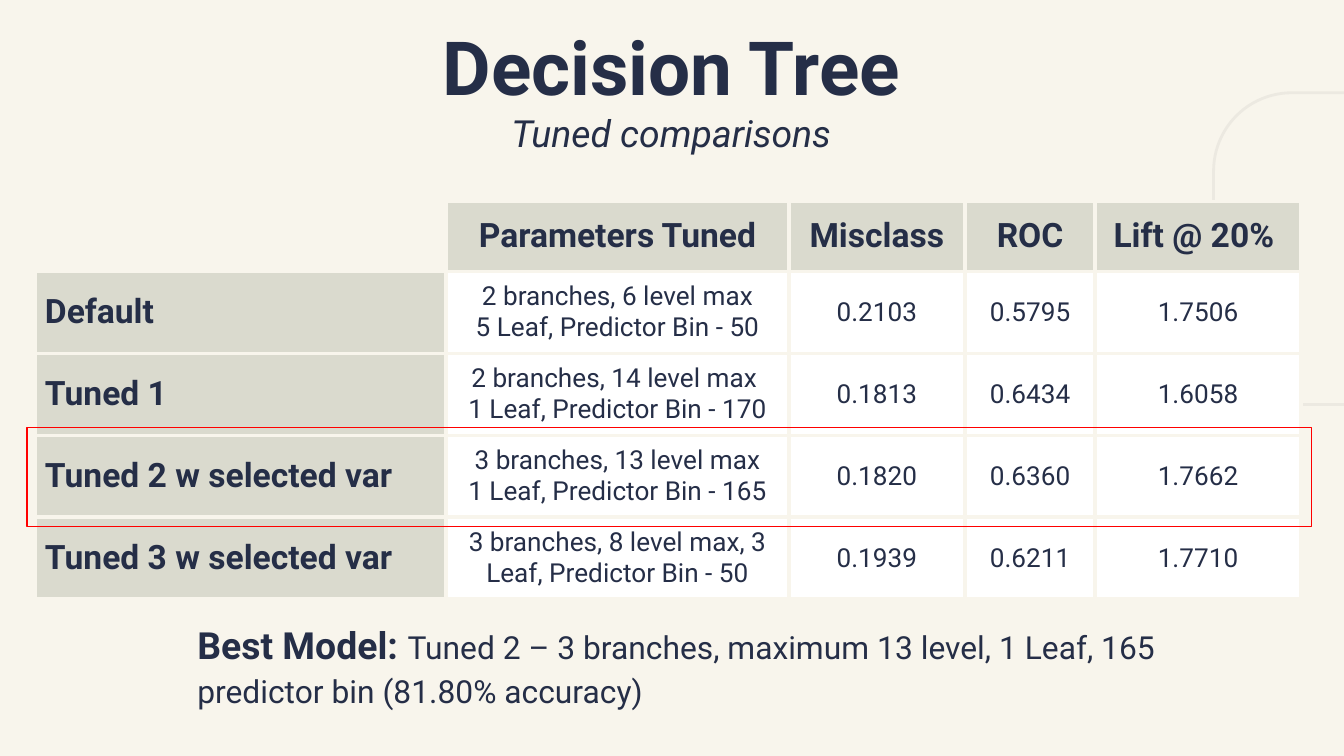
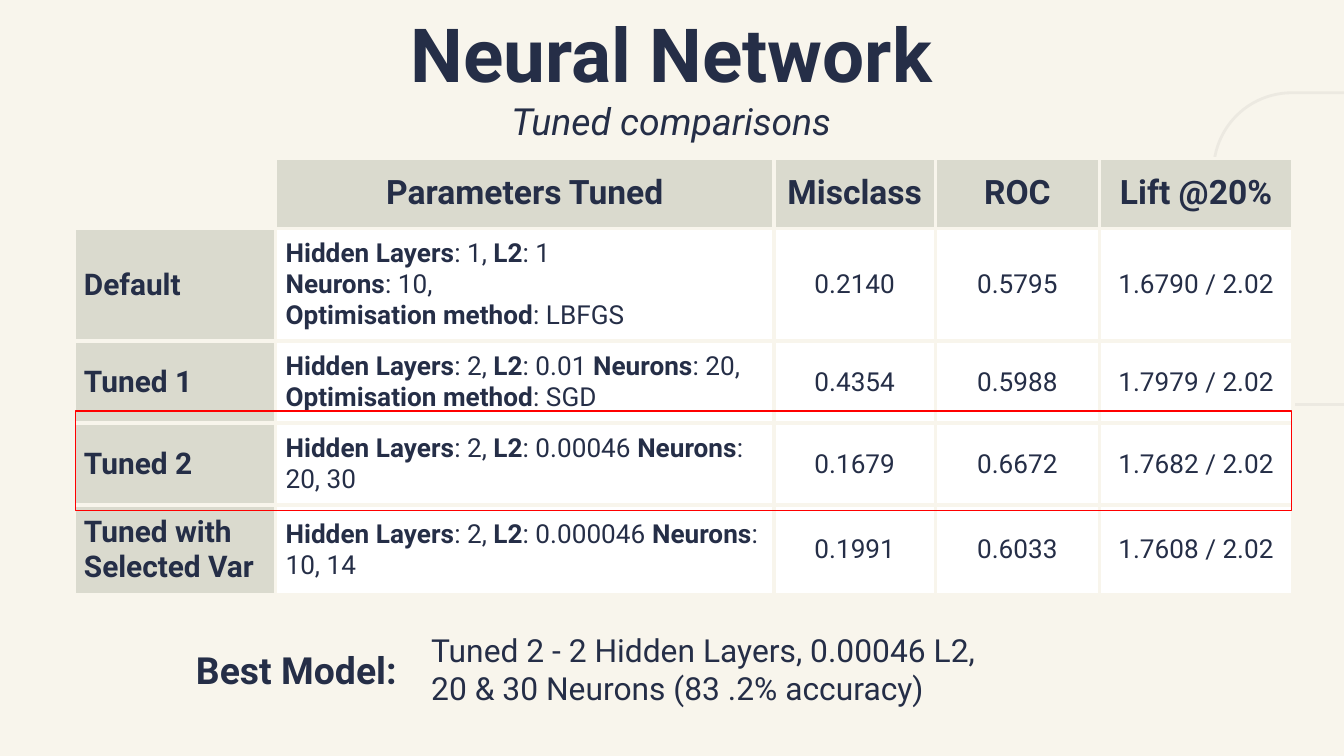
"""Build two slides comparing tuned models, each with a results table and its best model."""
from dataclasses import dataclass
from typing import Any

import lxml.etree
import pptx
import pptx.dml.color
import pptx.enum.shapes
import pptx.enum.text
import pptx.oxml.ns
import pptx.util

Inches = pptx.util.Inches
Align = pptx.enum.text.PP_ALIGN
Anchor = pptx.enum.text.MSO_ANCHOR
ShapeKind = pptx.enum.shapes.MSO_SHAPE

FONT = "Roboto"
CREAM, NAVY, SAND = "F8F5EC", "252E47", "DADACE"
WHITE, RED, OUTLINE = "FFFFFF", "FF0000", "ECE9E1"
SLIDE_WIDTH = Inches(10)
SLIDE_HEIGHT = SLIDE_WIDTH * 9 // 16
HEADER_HEIGHT, ROW_HEIGHT = 0.52, 0.49
CELL_INSET = pptx.util.Pt(5.4)
BOX_INSET = Inches(0.1)


@dataclass(frozen=True)
class Box:
    left: float
    top: float
    width: float
    height: float

    def lengths(self) -> tuple:
        return tuple(Inches(n) for n in (self.left, self.top, self.width, self.height))


@dataclass(frozen=True)
class Verdict:
    box: Box
    lines: list[str]
    anchor: Any = Anchor.MIDDLE


@dataclass(frozen=True)
class Comparison:
    title: str
    title_box: Box
    table_left: float
    table_top: float
    column_widths: list[float]
    lift_heading: str
    label_size: int
    parameters_align: Any
    rows: list[tuple[str, str, str, str, str]]
    verdicts: list[Verdict]
    best_row: Box


COMPARISONS = [
    Comparison(
        title="Decision Tree",
        title_box=Box(2.29, 0.34, 5.41, 0.63),
        table_left=0.26,
        table_top=1.5,
        column_widths=[3.06, 2.55, 1.31, 0.97, 1.53],
        lift_heading="Lift @ 20% ",
        label_size=18,
        parameters_align=Align.CENTER,
        rows=[
            ("Default", "2 branches, 6 level max\n5 Leaf, Predictor Bin - 50",
             "0.2103", "0.5795", "1.7506"),
            ("Tuned 1", "2 branches, 14 level max \n1 Leaf, Predictor Bin - 170",
             "0.1813", "0.6434", "1.6058"),
            ("Tuned 2 w selected var", "3 branches, 13 level max\n1 Leaf, Predictor Bin - 165",
             "0.1820", "0.6360", "1.7662"),
            ("Tuned 3 w selected var", "3 branches, 8 level max, 3 Leaf, Predictor Bin - 50",
             "0.1939", "0.6211", "1.7710"),
        ],
        verdicts=[
            Verdict(Box(1.37, 4.67, 8.1, 0.58),
                    ["*Best Model: *Tuned 2 – 3 branches, maximum 13 level, 1 Leaf, 165 "
                     "predictor bin (81.80% accuracy)* *"]),
        ],
        best_row=Box(0.2, 3.18, 9.56, 0.74),
    ),
    Comparison(
        title="Neural Network",
        title_box=Box(2.69, 0.09, 4.61, 0.94),
        table_left=0.55,
        table_top=1.18,
        column_widths=[1.5, 3.71, 1.2, 1.22, 1.44],
        lift_heading="Lift @20%",
        label_size=16,
        parameters_align=Align.LEFT,
        rows=[
            ("Default",
             "*Hidden Layers*: 1, *L2*: 1\n*Neurons*: 10,\n*Optimisation method*: LBFGS",
             "0.2140", "0.5795", "1.6790 / 2.02"),
            ("Tuned 1",
             "*Hidden Layers*: 2, *L2*: 0.01 *Neurons*: 20,\n*Optimisation method*: SGD",
             "0.4354", "0.5988", "1.7979 / 2.02"),
            ("Tuned 2", "*Hidden Layers*: 2, *L2*: 0.00046 *Neurons*: 20, 30",
             "0.1679", "0.6672", "1.7682 / 2.02"),
            ("Tuned with Selected Var", "*Hidden Layers*: 2, *L2*: 0.000046 *Neurons*: 10, 14",
             "0.1991", "0.6033", "1.7608 / 2.02"),
        ],
        verdicts=[
            Verdict(Box(1.36, 4.69, 1.87, 0.58), ["*Best Model:*"]),
            Verdict(Box(3.11, 4.59, 6.59, 0.77),
                    ["Tuned 2 - 2 Hidden Layers, 0.00046 L2,",
                     "20 & 30 Neurons (83 .2% accuracy)"], Anchor.TOP),
        ],
        best_row=Box(0.56, 3.06, 9.05, 0.74),
    ),
]


def color(value: str) -> pptx.dml.color.RGBColor:
    return pptx.dml.color.RGBColor.from_string(value)


def write_line(paragraph, text: str, size: int, bold: bool = False, italic: bool = False,
               align=Align.LEFT, strong_size: int | None = None) -> None:
    """Write one paragraph, with the parts between asterisks in bold."""
    paragraph.alignment = align
    font = paragraph.font
    font.name, font.size, font.italic = FONT, pptx.util.Pt(size), italic
    font.bold = bold
    font.color.rgb = color(NAVY)
    for position, part in enumerate(text.split("*")):
        if not part:
            continue
        run = paragraph.add_run()
        run.text = part
        if position % 2:
            run.font.bold = True
            if strong_size:
                run.font.size = pptx.util.Pt(strong_size)


def write_lines(frame, lines: list[str], size: int, **style) -> None:
    for number, line in enumerate(lines):
        paragraph = frame.add_paragraph() if number else frame.paragraphs[0]
        write_line(paragraph, line, size, **style)


def prepare_frame(frame, anchor) -> None:
    frame.word_wrap = True
    frame.auto_size = pptx.enum.text.MSO_AUTO_SIZE.NONE
    frame.vertical_anchor = anchor
    frame.margin_left = frame.margin_right = BOX_INSET
    frame.margin_top = frame.margin_bottom = BOX_INSET


def add_outline(slide, kind, box: Box, line: str, points: float):
    outline = slide.shapes.add_shape(kind, *box.lengths())
    outline.shadow.inherit = False
    outline.fill.background()
    outline.line.color.rgb = color(line)
    outline.line.width = pptx.util.Pt(points)
    return outline


def add_title(slide, comparison: Comparison) -> None:
    title = slide.shapes.title
    title.left, title.top, title.width, title.height = comparison.title_box.lengths()
    frame = title.text_frame
    prepare_frame(frame, Anchor.MIDDLE)
    write_line(frame.paragraphs[0], comparison.title, 40, bold=True, align=Align.CENTER)
    write_line(frame.add_paragraph(), "Tuned comparisons", 20, italic=True, align=Align.CENTER)


def style_cell(cell, fill: str | None) -> None:
    """Give a cell its borders, insets and fill."""
    cell.vertical_anchor = Anchor.MIDDLE
    cell.margin_left = cell.margin_right = CELL_INSET
    cell.margin_top = cell.margin_bottom = CELL_INSET
    qn = pptx.oxml.ns.qn
    properties = cell._tc.get_or_add_tcPr()
    for side in ("lnL", "lnR", "lnT", "lnB"):
        border = lxml.etree.SubElement(properties, qn(f"a:{side}"), w=str(pptx.util.Pt(2.25)))
        paint = lxml.etree.SubElement(border, qn("a:solidFill"))
        lxml.etree.SubElement(paint, qn("a:srgbClr"), val=CREAM)
    if fill:
        cell.fill.solid()
        cell.fill.fore_color.rgb = color(fill)
    else:
        cell.fill.background()


def add_results(slide, comparison: Comparison) -> None:
    header = ("", "Parameters Tuned", "Misclass", "ROC", comparison.lift_heading)
    rows = [header, *comparison.rows]
    widths = comparison.column_widths
    box = Box(comparison.table_left, comparison.table_top, sum(widths),
              HEADER_HEIGHT + ROW_HEIGHT * len(comparison.rows))
    results = slide.shapes.add_table(len(rows), len(widths), *box.lengths()).table
    results.first_row = results.horz_banding = False
    for column, width in zip(results.columns, widths):
        column.width = Inches(width)
    for r, row in enumerate(rows):
        results.rows[r].height = Inches(ROW_HEIGHT if r else HEADER_HEIGHT)
        for c, text in enumerate(row):
            cell = results.cell(r, c)
            heading = r == 0 or c == 0
            style_cell(cell, (SAND if heading else WHITE) if text else None)
            if not text:
                continue
            if r == 0:
                size, align = 18, Align.CENTER
            elif c == 0:
                size, align = comparison.label_size, Align.LEFT
            else:
                size = 14
                align = comparison.parameters_align if c == 1 else Align.CENTER
            write_lines(cell.text_frame, text.split("\n"), size, bold=heading, align=align)


def add_verdict(slide, verdict: Verdict) -> None:
    frame = slide.shapes.add_textbox(*verdict.box.lengths()).text_frame
    prepare_frame(frame, verdict.anchor)
    write_lines(frame, verdict.lines, 17, strong_size=20)


def add_comparison(deck, comparison: Comparison) -> None:
    slide = deck.slides.add_slide(deck.slide_layouts[5])
    corner = add_outline(slide, ShapeKind.ROUNDED_RECTANGLE, Box(9.03, 0.69, 1.94, 2.32),
                         OUTLINE, 1.5)
    corner.adjustments[0] = 0.3
    add_title(slide, comparison)
    add_results(slide, comparison)
    for verdict in comparison.verdicts:
        add_verdict(slide, verdict)
    add_outline(slide, ShapeKind.RECTANGLE, comparison.best_row, RED, 0.75)


def main() -> None:
    deck = pptx.Presentation()
    deck.slide_width, deck.slide_height = SLIDE_WIDTH, SLIDE_HEIGHT
    backdrop = deck.slide_master.background.fill
    backdrop.solid()
    backdrop.fore_color.rgb = color(CREAM)
    for comparison in COMPARISONS:
        add_comparison(deck, comparison)
    deck.save("out.pptx")


if __name__ == "__main__":
    main()
